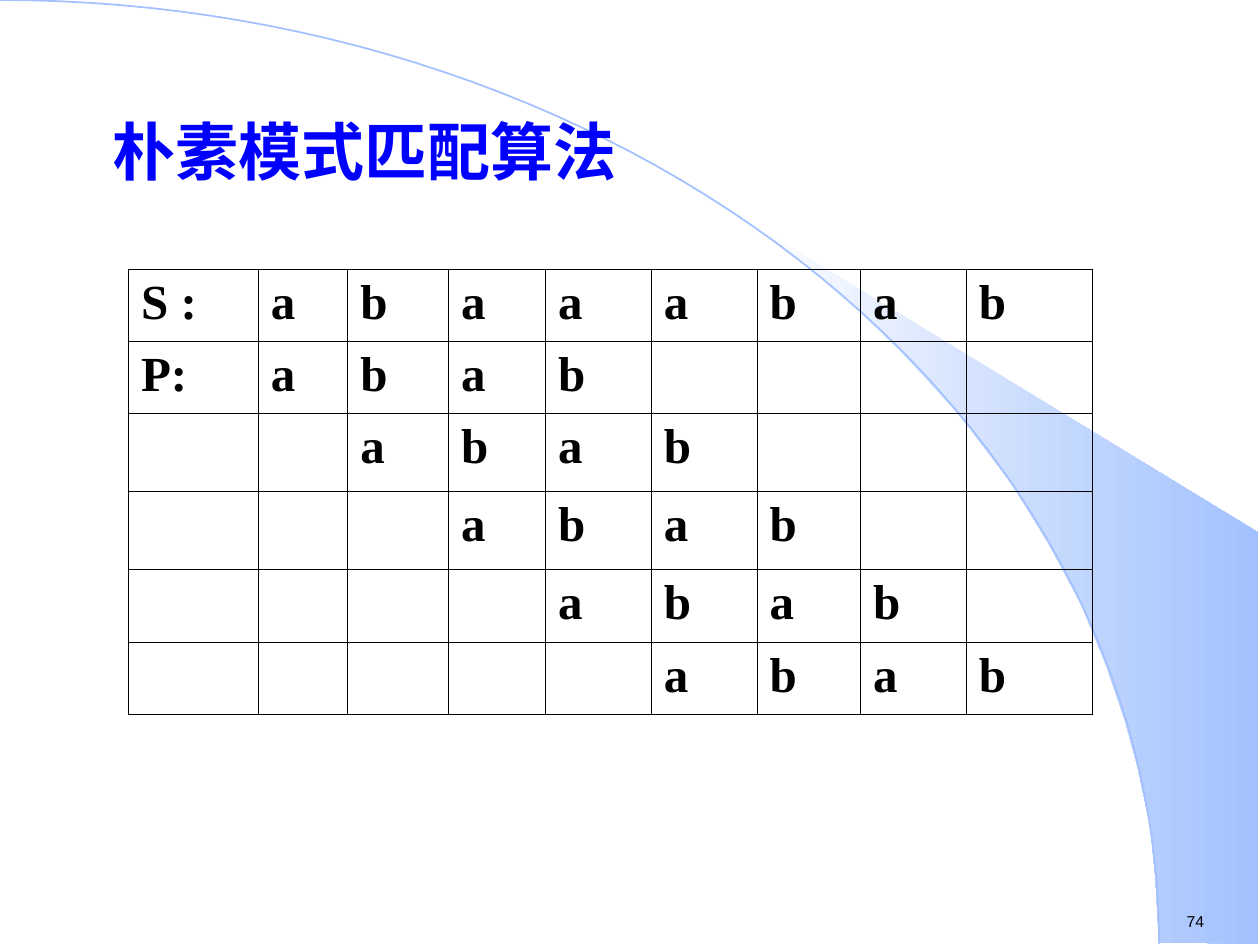
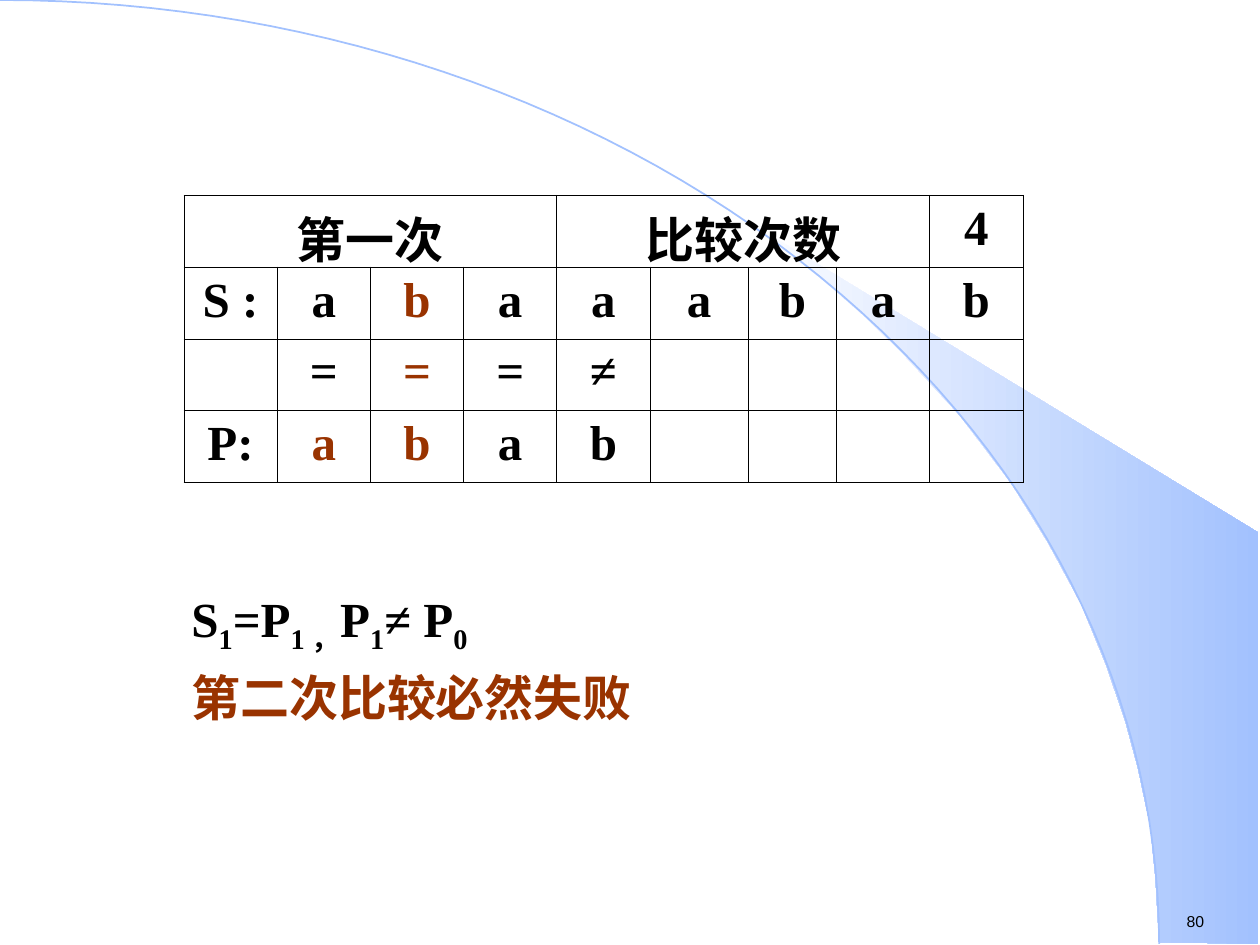
import math

import pptx
import pptx.dml.color
import pptx.enum.text
import pptx.oxml
import pptx.oxml.ns
import pptx.util

Inches = pptx.util.Inches
Pt = pptx.util.Pt
ALIGN = pptx.enum.text.PP_ALIGN

BLACK, BLUE, RUST, SKY, WHITE = "000000", "0000FF", "993300", "A2C1FE", "FFFFFF"
SERIF = {"name": "Times New Roman", "size": Pt(28), "bold": True}
TITLE = {**SERIF, "size": Pt(36)}
SMALL = {"name": "Arial", "size": Pt(9)}
EDGE = [(5.89, 1.73), (6.24, 1.99), (6.53, 2.22), (6.85, 2.5), (7.16, 2.8),
        (7.62, 3.3), (8.03, 3.84), (8.32, 4.31), (8.58, 4.79), (8.78, 5.28),
        (8.93, 5.72), (9.03, 6.09), (9.13, 6.56), (9.17, 6.96), (9.2, 7.48)]


def tint(code):
    """Turn a hex string into a colour."""
    return pptx.dml.color.RGBColor.from_string(code)


def write(para, text, look, code=BLACK, base=0):
    """Add one styled run to a paragraph."""
    run = para.add_run()
    run.text = text
    for key, value in look.items():
        setattr(run.font, key, value)
    run.font.color.rgb = tint(code)
    if base:
        run._r.get_or_add_rPr().set("baseline", str(base * 1000))


def add_box(slide, left, top, width, height, wrap=True):
    """Add an empty text box and return its frame."""
    box = slide.shapes.add_textbox(*map(Inches, (left, top, width, height)))
    box.text_frame.word_wrap = wrap
    return box.text_frame


def outline(slide, points, close):
    """Draw a freeform through points given in inches."""
    spots = [(Inches(x), Inches(y)) for x, y in points]
    pen = slide.shapes.build_freeform(*spots[0])
    pen.add_line_segments(spots[1:], close=close)
    shape = pen.convert_to_shape()
    shape.shadow.inherit = False
    return shape


def add_page(deck, number):
    """Add a slide with the beam, the arc and the page number."""
    slide = deck.slides.add_slide(deck.slide_layouts[6])
    beam = outline(slide, EDGE + [(9.99, 7.49), (9.99, 4.23)], True)
    beam.line.fill.background()
    beam.fill.gradient()
    beam.fill.gradient_angle = 0
    for stop, code in zip(beam.fill.gradient_stops, (WHITE, SKY)):
        stop.color.rgb = tint(code)
    turns = [math.pi / 2 * step / 60 for step in range(61)]
    arc = outline(slide, [(9.2 * math.sin(turn), 7.49 * (1 - math.cos(turn)))
                          for turn in turns], False)
    arc.fill.background()
    arc.line.color.rgb = tint(SKY)
    arc.line.width = Pt(1)
    frame = add_box(slide, 9.32, 7.19, 0.77, 0.25, wrap=False)
    write(frame.paragraphs[0], str(number), SMALL)
    return slide


def frame_cell(cell):
    """Give a cell thin black borders and no fill."""
    props = cell._tc.get_or_add_tcPr()
    for side in "LRTB":
        props.append(pptx.oxml.parse_xml(
            f'<a:ln{side} {pptx.oxml.ns.nsdecls("a")} w="5715"><a:solidFill>'
            f'<a:srgbClr val="{BLACK}"/></a:solidFill></a:ln{side}>'))
    cell.fill.background()


def add_grid(slide, left, top, widths, heights, rows, align, marks=()):
    """Add a bordered table, with rust text in the marked cells."""
    size = map(Inches, (left, top, sum(widths), sum(heights)))
    grid = slide.shapes.add_table(len(heights), len(widths), *size).table
    grid.first_row = grid.horz_banding = False
    for col, width in zip(grid.columns, widths):
        col.width = Inches(width)
    for line, height in zip(grid.rows, heights):
        line.height = Inches(height)
    for r, row in enumerate(rows):
        for c, text in enumerate(row):
            cell = grid.cell(r, c)
            frame_cell(cell)
            if text:
                para = cell.text_frame.paragraphs[0]
                para.alignment = align
                write(para, text, SERIF, RUST if (r, c) in marks else BLACK)
    return grid


def shift_row(label, text, shift=0):
    """Lay out a label and letters in nine cells."""
    cells = [label] + [""] * shift + list(text)
    return cells + [""] * (9 - len(cells))


def add_naive(deck):
    """Build the slide of the naive matching steps."""
    slide = add_page(deck, 74)
    rows = [shift_row("S :", "abaaabab")]
    rows += [shift_row("" if shift else "P:", "abab", shift) for shift in range(5)]
    add_grid(slide, 1.02, 2.14, [1.03, 0.71, 0.8, 0.77, 0.84, 0.84, 0.82, 0.84, 1],
             [0.57, 0.57, 0.62, 0.62, 0.58, 0.57], rows, ALIGN.LEFT)
    frame = add_box(slide, 0.67, 0.84, 5.75, 0.7)
    frame.margin_left = Inches(0.22)
    write(frame.paragraphs[0], "朴素模式匹配算法", TITLE, BLUE)


def add_first(deck):
    """Build the slide of the first comparison."""
    slide = add_page(deck, 80)
    frame = add_box(slide, 1.42, 4.62, 3.92, 1.23)
    para = frame.paragraphs[0]
    for text, sub in (("S", "1"), ("=P", "1 ，"), ("P", "1"), ("≠ P", "0")):
        write(para, text, SERIF)
        write(para, sub, SERIF, base=-25)
    para = frame.add_paragraph()
    para.space_before = Pt(7)
    write(para, "第二次比较必然失败", SERIF, RUST)
    rows = [["第一次", "", "", "", "比较次数", "", "", "", "4"],
            shift_row("S :", "abaaabab"),
            shift_row("", "===≠"),
            shift_row("P:", "abab")]
    grid = add_grid(slide, 1.46, 1.55, [0.74] * 5 + [0.78, 0.7, 0.74, 0.74],
                    [0.57] * 4, rows, ALIGN.CENTER,
                    marks={(1, 2), (2, 2), (3, 1), (3, 2)})
    for start in (0, 4):
        grid.cell(0, start).merge(grid.cell(0, start + 3))


def main():
    """Build and save the deck."""
    deck = pptx.Presentation()
    deck.slide_width, deck.slide_height = Inches(10), Inches(7.5)
    add_naive(deck)
    add_first(deck)
    deck.save("out.pptx")


if __name__ == "__main__":
    main()
